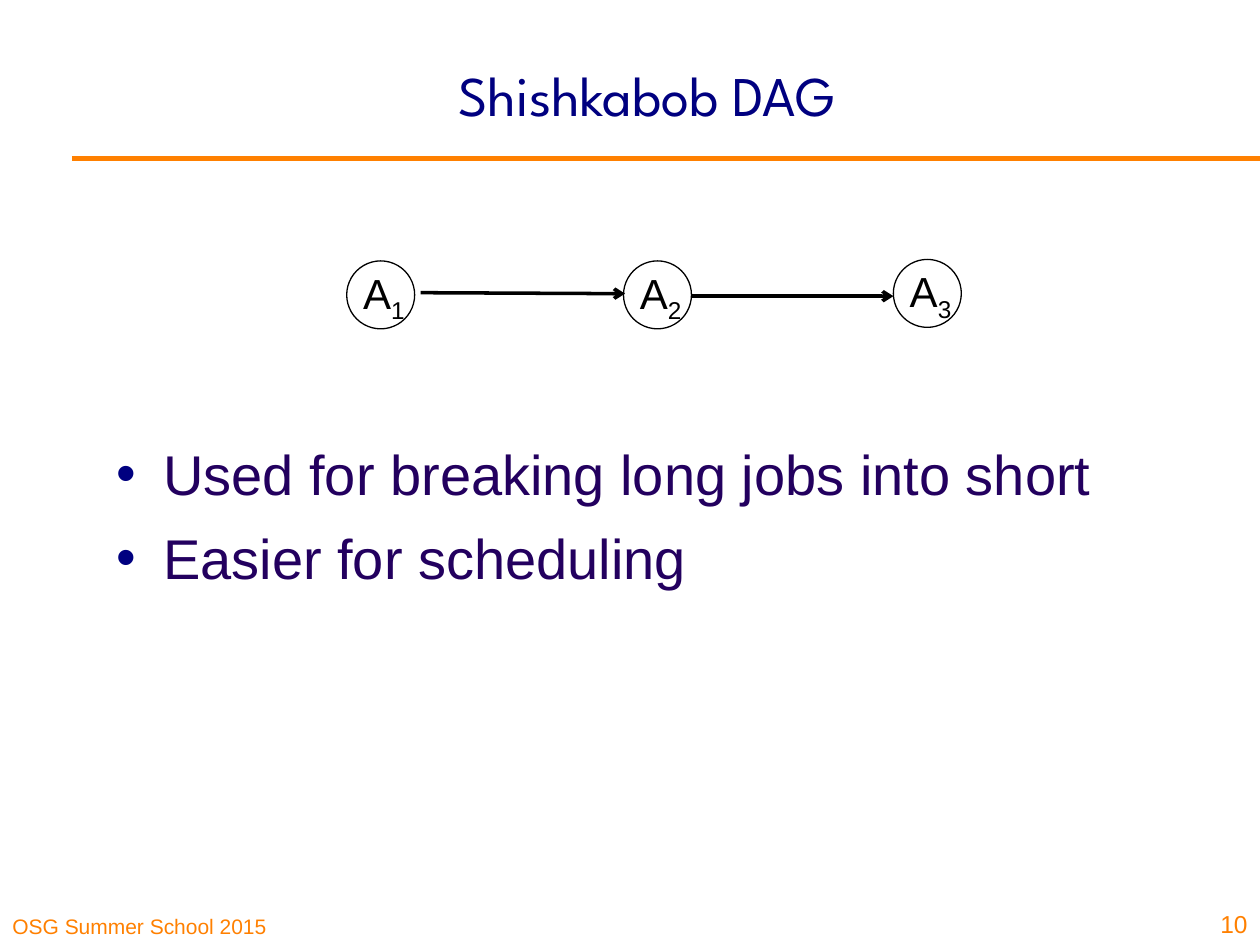
from lxml.etree import SubElement
from pptx import Presentation
from pptx.dml.color import RGBColor
from pptx.enum.shapes import MSO_CONNECTOR, MSO_SHAPE
from pptx.enum.text import MSO_ANCHOR, MSO_AUTO_SIZE, PP_ALIGN
from pptx.oxml.ns import qn
from pptx.util import Cm, Pt

ORANGE = RGBColor(0xFF, 0x80, 0x00)
NAVY = RGBColor(0x00, 0x00, 0x80)
INDIGO = RGBColor(0x23, 0x00, 0x5F)
BLACK = RGBColor(0x00, 0x00, 0x00)


def write(paragraph, text, size, color, font="Arial", align=PP_ALIGN.LEFT, subscript=False):
    paragraph.alignment = align
    run = paragraph.add_run()
    run.text = text
    run.font.name = font
    run.font.size = Pt(size)
    run.font.color.rgb = color
    if subscript:
        run._r.get_or_add_rPr().set("baseline", "-25000")


def draw_line(start, end, color, width, arrow=False):
    line = slide.shapes.add_connector(
        MSO_CONNECTOR.STRAIGHT, *(Cm(value) for value in start + end))
    line.line.color.rgb = color
    line.line.width = Pt(width)
    if arrow:
        SubElement(line.line._get_or_add_ln(), qn("a:tailEnd")).set("type", "arrow")
    SubElement(line._element.spPr, qn("a:effectLst"))


deck = Presentation()
deck.slide_width, deck.slide_height = Cm(25.4), Cm(19.05)
slide = deck.slides.add_slide(deck.slide_layouts[1])

heading = slide.shapes.title
heading.left, heading.top, heading.width, heading.height = Cm(3.4), Cm(0.3), Cm(19.3), Cm(3.18)
heading.text_frame.auto_size = MSO_AUTO_SIZE.NONE
heading.text_frame.vertical_anchor = MSO_ANCHOR.MIDDLE
write(heading.text_frame.paragraphs[0], "Shishkabob DAG", 32, NAVY,
      font="League Spartan", align=PP_ALIGN.CENTER)

draw_line((1.45, 3.2), (25.4, 3.2), ORANGE, 3)

benefits = slide.placeholders[1]
benefits.left, benefits.top, benefits.width, benefits.height = Cm(2.16), Cm(3.7), Cm(21.6), Cm(13.03)
points = benefits.text_frame
points.auto_size = MSO_AUTO_SIZE.NONE
points.margin_left, points.margin_top = Cm(0.18), Cm(5.16)
for index, benefit in enumerate(["Used for breaking long jobs into short", "Easier for scheduling"]):
    point = points.paragraphs[0] if index == 0 else points.add_paragraph()
    properties = point._p.get_or_add_pPr()
    properties.set("marL", str(Cm(0.95)))
    properties.set("indent", str(-Cm(0.95)))
    bullet_color = SubElement(properties, qn("a:buClr"))
    SubElement(bullet_color, qn("a:srgbClr")).set("val", str(NAVY))
    SubElement(properties, qn("a:buFont")).set("typeface", "Arial")
    SubElement(properties, qn("a:buChar")).set("char", "•")
    point.space_before = Pt(9.5 if index else 0)
    write(point, benefit, 32, INDIGO)

for text, left, top, width, height, size, align in [
    ("OSG Summer School 2015", 0, 17.98, 6.3, 1.07, 12, PP_ALIGN.LEFT),
    ("10", 24.23, 17.78, 1.17, 1.27, 14, PP_ALIGN.RIGHT),
]:
    footer = slide.shapes.add_textbox(Cm(left), Cm(top), Cm(width), Cm(height)).text_frame
    footer.word_wrap = True
    footer.vertical_anchor = MSO_ANCHOR.BOTTOM
    write(footer.paragraphs[0], text, size, ORANGE, align=align)

for number, left, top in [("1", 6.99, 5.26), ("2", 12.57, 5.26), ("3", 18.01, 5.23)]:
    job = slide.shapes.add_group_shape().shapes
    node = job.add_shape(MSO_SHAPE.OVAL, Cm(left), Cm(top), Cm(1.37), Cm(1.37))
    node.shadow.inherit = False
    node.fill.background()
    node.line.color.rgb = BLACK
    node.line.width = Pt(0.75)
    label = job.add_textbox(Cm(left + 0.08), Cm(top), Cm(1.35), Cm(1.42)).text_frame
    label.word_wrap = False
    label.vertical_anchor = MSO_ANCHOR.MIDDLE
    write(label.paragraphs[0], "A", 24, BLACK)
    write(label.paragraphs[0], number, 24, BLACK, subscript=True)

draw_line((8.48, 5.9), (12.6, 5.92), BLACK, 2, arrow=True)
draw_line((13.92, 5.97), (18.01, 5.97), BLACK, 2, arrow=True)

deck.save("out.pptx")
